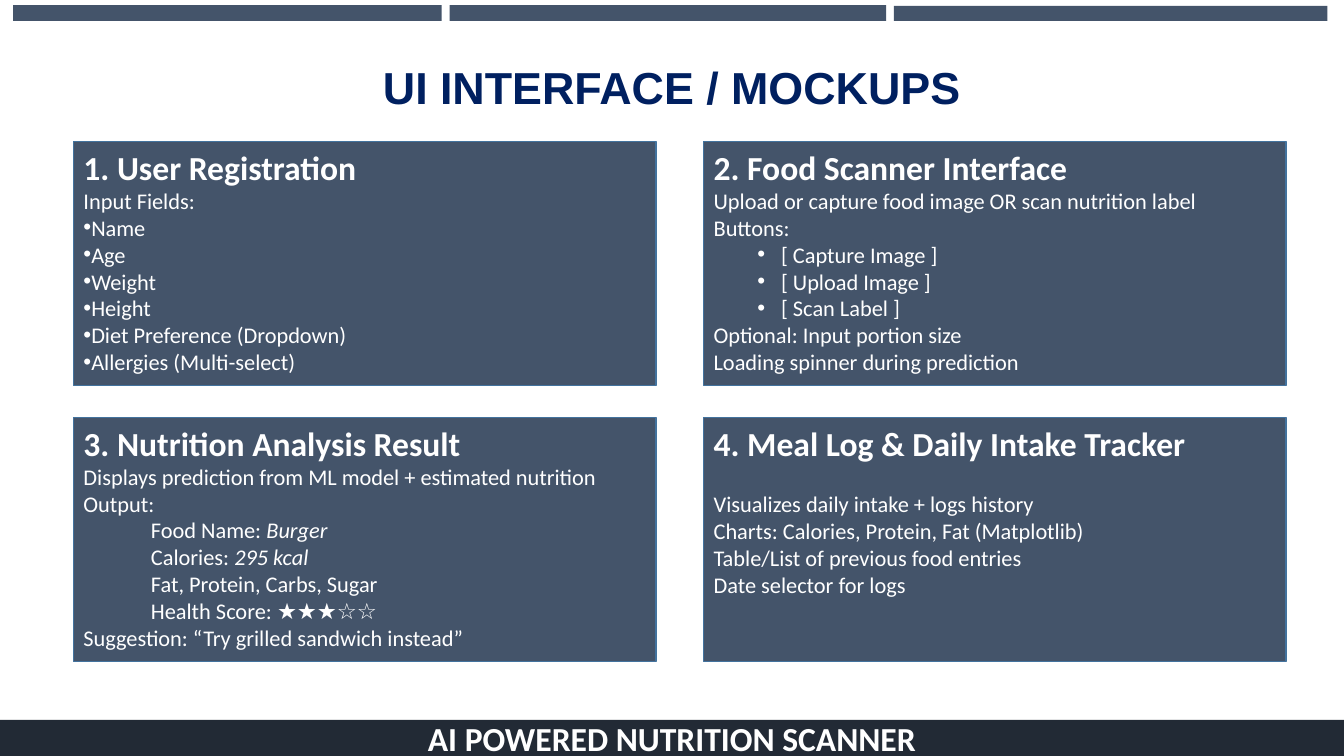
from lxml import etree
from pptx import Presentation
from pptx import util as u
from pptx.dml import color
from pptx.enum import shapes, text
from pptx.oxml import ns

Cm, Pt = u.Cm, u.Pt
SLATE, EDGE, NIGHT, NAVY, WHITE = "44546A", "43739E", "222A35", "002060", "FFFFFF"
SLIDE_WIDTH, SLIDE_HEIGHT = 33.87, 19.05
COMPARISON_LAYOUT = 4  # one title and four body placeholders

# Line styles: (level, left margin, first-line indent, bullet)
PLAIN = (0, 0, 0, None)
FIELD = (0, 0, 0, "•")
BUTTON = (1, 1.7, -0.6, "•")
RESULT = (1, 1.7, 0, None)

# Panels: heading, space above the first line in points, lines (style, text, italic ending)
PANELS = [
    ("1. User Registration", 0, [
        (PLAIN, "Input Fields:", ""),
        (FIELD, "Name", ""),
        (FIELD, "Age", ""),
        (FIELD, "Weight", ""),
        (FIELD, "Height", ""),
        (FIELD, "Diet Preference (Dropdown)", ""),
        (FIELD, "Allergies (Multi-select)", ""),
    ]),
    ("2. Food Scanner Interface", 0, [
        (PLAIN, "Upload or capture food image OR scan nutrition label", ""),
        (PLAIN, "Buttons:", ""),
        (BUTTON, "[ Capture Image ]", ""),
        (BUTTON, "[ Upload Image ]", ""),
        (BUTTON, "[ Scan Label ]", ""),
        (PLAIN, "Optional: Input portion size", ""),
        (PLAIN, "Loading spinner during prediction", ""),
    ]),
    ("3. Nutrition Analysis Result", 0, [
        (PLAIN, "Displays prediction from ML model + estimated nutrition", ""),
        (PLAIN, "Output:", ""),
        (RESULT, "Food Name: ", "Burger"),
        (RESULT, "Calories: ", "295 kcal"),
        (RESULT, "Fat, Protein, Carbs, Sugar", ""),
        (RESULT, "Health Score: ★★★☆☆", ""),
        (PLAIN, "Suggestion: “Try grilled sandwich instead”", ""),
    ]),
    ("4. Meal Log & Daily Intake Tracker", 19.5, [
        (PLAIN, "Visualizes daily intake + logs history", ""),
        (PLAIN, "Charts: Calories, Protein, Fat (Matplotlib)", ""),
        (PLAIN, "Table/List of previous food entries", ""),
        (PLAIN, "Date selector for logs", ""),
    ]),
]


def rgb(value):
    return color.RGBColor.from_string(value)


def place(box, left, top, width, height):
    box.left, box.top, box.width, box.height = Cm(left), Cm(top), Cm(width), Cm(height)


def format_spans(para, size, shade, bold=False, font="Calibri"):
    for span in para.runs:
        span.font.name, span.font.size, span.font.bold = font, Pt(size), bold
        span.font.color.rgb = rgb(shade)


def set_frame(frame, anchor):
    frame.word_wrap = True
    frame.auto_size = text.MSO_AUTO_SIZE.NONE
    frame.vertical_anchor = anchor


def set_paragraph(para, style, space_before=0):
    level, margin, indent, bullet = style
    para.level = level
    para.alignment = text.PP_ALIGN.LEFT
    para.line_spacing = 1.0
    para.space_before, para.space_after = Pt(space_before), Pt(0)
    properties = para._p.get_or_add_pPr()
    properties.set("marL", str(Cm(margin)))
    properties.set("indent", str(Cm(indent)))
    if bullet:
        etree.SubElement(properties, ns.qn("a:buFont")).set("typeface", "Arial")
        etree.SubElement(properties, ns.qn("a:buChar")).set("char", bullet)
    else:
        etree.SubElement(properties, ns.qn("a:buNone"))


def add_title(page, wording):
    box = page.shapes.title
    place(box, 0, 1.37, SLIDE_WIDTH, 1.63)
    box.text_frame.text = wording
    set_frame(box.text_frame, text.MSO_ANCHOR.MIDDLE)
    para = box.text_frame.paragraphs[0]
    para.alignment = text.PP_ALIGN.CENTER
    format_spans(para, 32, NAVY, bold=True, font="Arial")


def add_bar(page, left, top, width, height, fill):
    bar = page.shapes.add_shape(shapes.MSO_SHAPE.RECTANGLE,
                                Cm(left), Cm(top), Cm(width), Cm(height))
    bar.shadow.inherit = False
    bar.fill.solid()
    bar.fill.fore_color.rgb = rgb(fill)
    bar.line.fill.background()
    return bar


def fill_panel(box, heading, gap, lines):
    box.fill.solid()
    box.fill.fore_color.rgb = rgb(SLATE)
    box.line.color.rgb = rgb(EDGE)
    box.line.width = Pt(1)

    frame = box.text_frame
    frame.text = heading
    set_frame(frame, text.MSO_ANCHOR.TOP)
    set_paragraph(frame.paragraphs[0], PLAIN)
    format_spans(frame.paragraphs[0], 24, WHITE, bold=True)

    for number, (style, wording, ending) in enumerate(lines):
        para = frame.add_paragraph()
        para.text = wording
        if ending:
            span = para.add_run()
            span.text = ending
            span.font.italic = True
        set_paragraph(para, style, gap if number == 0 else 0)
        format_spans(para, 16, WHITE)


def add_footer(page, wording):
    band = add_bar(page, 0, 18.14, SLIDE_WIDTH, 0.91, NIGHT)
    band.text_frame.text = wording
    set_frame(band.text_frame, text.MSO_ANCHOR.MIDDLE)
    para = band.text_frame.paragraphs[0]
    para.alignment = text.PP_ALIGN.CENTER
    format_spans(para, 24, WHITE, bold=True)


def main():
    deck = Presentation()
    deck.slide_width, deck.slide_height = Cm(SLIDE_WIDTH), Cm(SLIDE_HEIGHT)
    page = deck.slides.add_slide(deck.slide_layouts[COMPARISON_LAYOUT])

    # Title and the three bars above it
    add_title(page, "UI INTERFACE / MOCKUPS")
    for left, top, width, height in [(0.33, 0.13, 10.8, 0.4),
                                     (11.33, 0.13, 11, 0.4),
                                     (22.53, 0.15, 10.92, 0.38)]:
        add_bar(page, left, top, width, height, SLATE)

    # Four panels, two by two
    for number, (heading, gap, lines) in enumerate(PANELS):
        row, column = divmod(number, 2)
        box = page.placeholders[number + 1]
        place(box, 1.85 + 15.88 * column, 3.57 + 6.95 * row, 14.68, 6.15)
        fill_panel(box, heading, gap, lines)

    # Footer band
    add_footer(page, "AI POWERED NUTRITION SCANNER")

    deck.save("out.pptx")


if __name__ == "__main__":
    main()
